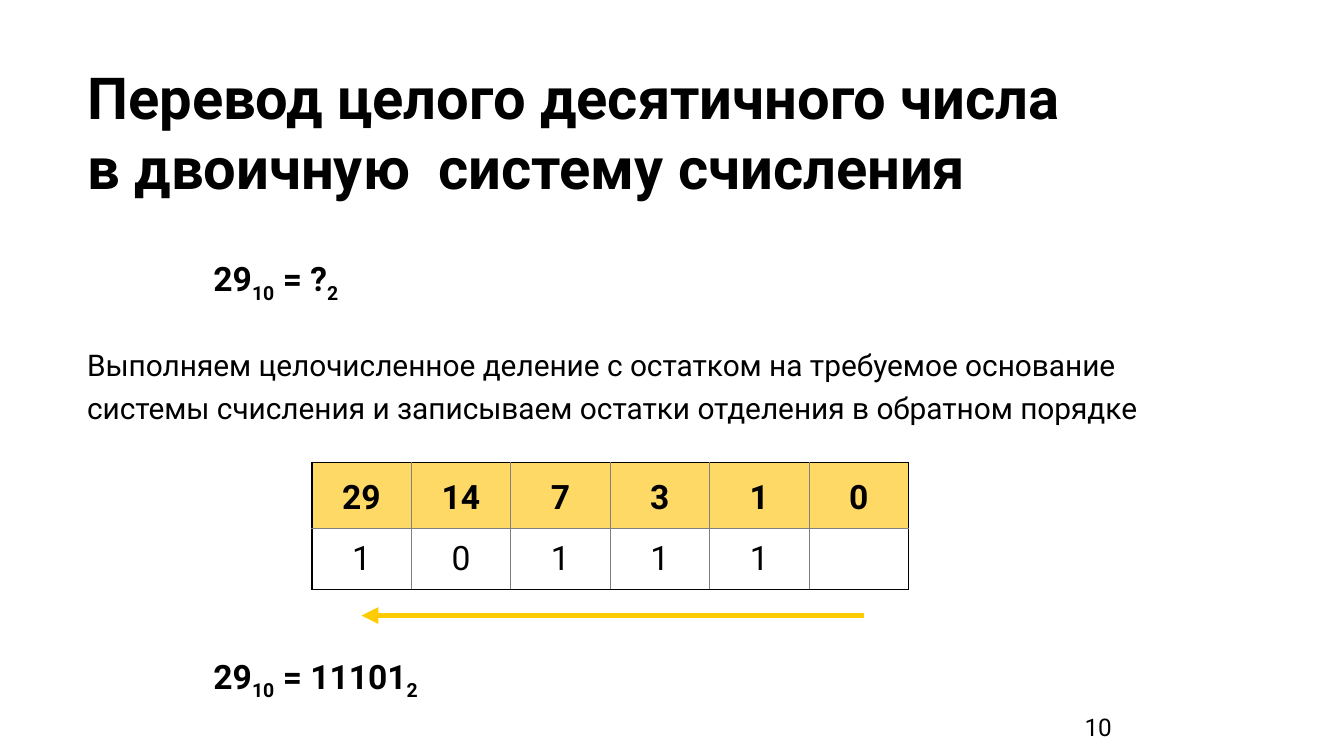
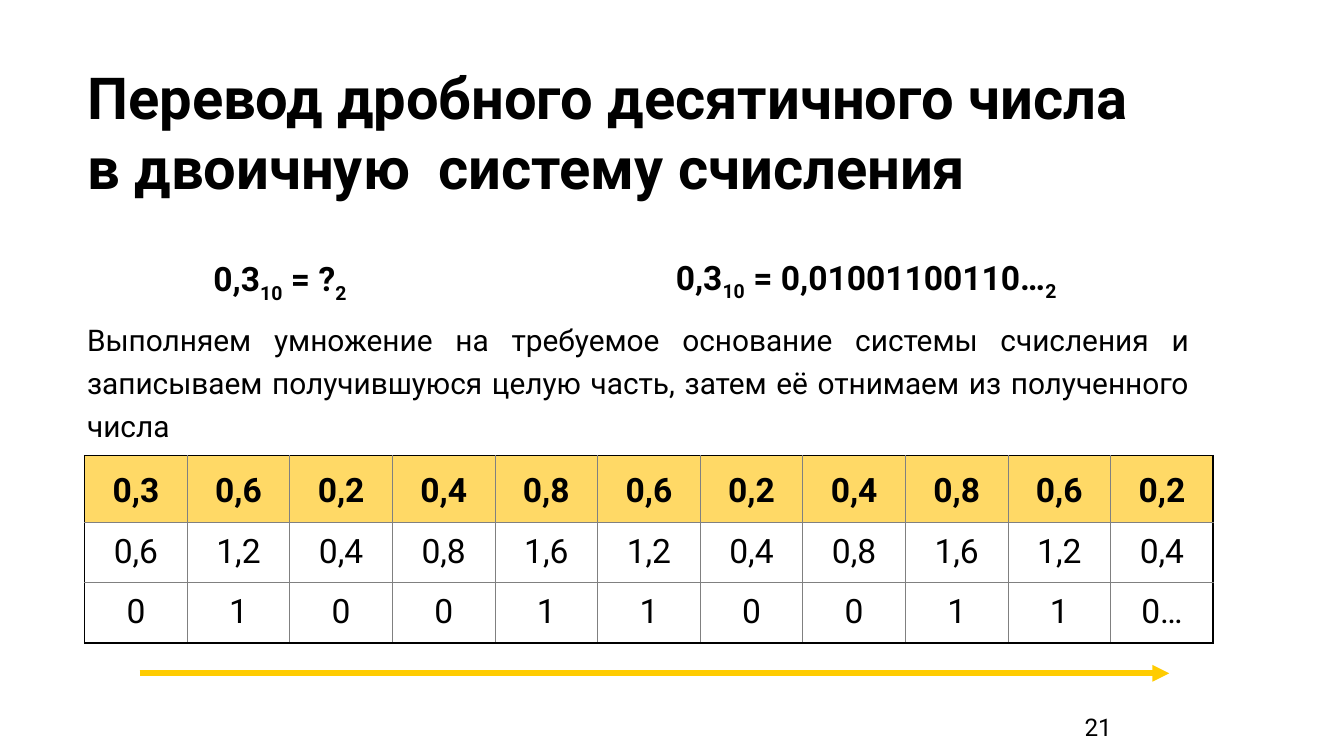
from lxml import etree
from pptx import Presentation
from pptx.dml.color import RGBColor
from pptx.enum import shapes, text
from pptx.oxml.ns import qn
from pptx.util import Inches, Pt

FONT = "Roboto"
BLACK, WHITE, GRAY = "000000", "FFFFFF", "808080"
HEADER, ARROW = "FFD966", "FFCC01"
LEFT, CENTER, RIGHT, JUSTIFY = (text.PP_ALIGN.LEFT, text.PP_ALIGN.CENTER,
                                text.PP_ALIGN.RIGHT, text.PP_ALIGN.JUSTIFY)
HEADER_H, ROW_H = 0.49, 0.45
CELL_INSET = Pt(5.4)
TITLE_BOX = (0.55, 0.36, 9.32, 1.2)
NUMBER_BOX = (7.37, 5.25, 1, 0.35)

# In a formula every second part is a subscript.
SLIDES = [
    dict(
        number="10",
        title="Перевод целого десятичного числа \vв двоичную  систему счисления",
        formulas=[((1.49, 1.82, 5, 0.43), ("29", "10", " = ?", "2")),
                  ((1.49, 4.78, 5, 0.43), ("29", "10", " = 11101", "2"))],
        rule="Выполняем целочисленное деление с остатком на требуемое основание "
             "системы счисления и записываем остатки отделения в обратном порядке",
        rule_box=(0.55, 2.43, 8.4, 0.83), rule_align=LEFT,
        table_box=(2.32, 3.44, 4.44),
        rows=[("29", "14", "7", "3", "1", "0"),
              ("1", "0", "1", "1", "1", "")],
        arrow=(6.43, 2.69, 4.58),
    ),
    dict(
        number="21",
        title="Перевод дробного десятичного числа \vв двоичную  систему счисления",
        formulas=[((1.49, 1.82, 5, 0.43), ("0,3", "10", " = ?", "2")),
                  ((4.93, 1.81, 4.1, 0.43), ("0,3", "10", " = 0,01001100110…", "2"))],
        rule="Выполняем умножение на требуемое основание системы счисления и "
             "записываем получившуюся целую часть, затем её отнимаем из "
             "полученного числа",
        rule_box=(0.55, 2.24, 8.4, 1.07), rule_align=JUSTIFY,
        table_box=(0.63, 3.39, 8.4),
        rows=[("0,3", "0,6", "0,2", "0,4", "0,8", "0,6", "0,2", "0,4", "0,8", "0,6", "0,2"),
              ("0,6", "1,2", "0,4", "0,8", "1,6", "1,2", "0,4", "0,8", "1,6", "1,2", "0,4"),
              ("0", "1", "0", "0", "1", "1", "0", "0", "1", "1", "0…")],
        arrow=(1.04, 8.7, 5.01),
    ),
]


def rgb(color):
    return RGBColor.from_string(color)


def write(tf, parts, size=18, bold=False, align=LEFT, spacing=1.0):
    """Fill the first paragraph; every second part becomes a subscript."""
    p = tf.paragraphs[0]
    p.alignment, p.line_spacing = align, spacing
    p.space_before = Pt(0)
    for i, part in enumerate(parts):
        for j, line in enumerate(part.split("\v")):
            if j:
                p.add_line_break()
            r = p.add_run()
            r.text = line
            r.font.name, r.font.size, r.font.bold = FONT, Pt(size), bold
            r.font.color.rgb = rgb(BLACK)
            if i % 2:
                r.font._element.set("baseline", "-25000")


def set_insets(obj, side, top):
    obj.margin_left = obj.margin_right = side
    obj.margin_top = obj.margin_bottom = top


def add_text(s, box, parts, inset=0.05, **fmt):
    tf = s.shapes.add_textbox(*map(Inches, box)).text_frame
    tf.word_wrap = True
    set_insets(tf, Inches(0.1), Inches(inset))
    write(tf, parts, **fmt)


def add_title(s, title):
    sp = s.shapes.title
    sp.left, sp.top, sp.width, sp.height = map(Inches, TITLE_BOX)
    tf = sp.text_frame
    tf.auto_size = text.MSO_AUTO_SIZE.NONE
    tf.vertical_anchor = text.MSO_ANCHOR.TOP
    set_insets(tf, Inches(0.1), Inches(0.1))
    write(tf, [title], size=31, bold=True)


def set_border(cell, side, outer):
    ln = etree.SubElement(cell._tc.get_or_add_tcPr(), qn(f"a:ln{side}"),
                          w=str(Pt(1 if outer else 0.5)))
    fill = etree.SubElement(ln, qn("a:solidFill"))
    etree.SubElement(fill, qn("a:srgbClr"), val=BLACK if outer else GRAY)


def add_table(s, box, rows):
    left, top, width = box
    last_row, last_col = len(rows) - 1, len(rows[0]) - 1
    height = HEADER_H + ROW_H * last_row
    table = s.shapes.add_table(len(rows), len(rows[0]),
                               *map(Inches, (left, top, width, height))).table
    table.first_row = table.horz_banding = False
    for col in table.columns:
        col.width = Inches(width / len(rows[0]))
    for i, row in enumerate(rows):
        is_header = i == 0
        table.rows[i].height = Inches(HEADER_H if is_header else ROW_H)
        for j, value in enumerate(row):
            cell = table.cell(i, j)
            set_insets(cell, CELL_INSET, CELL_INSET)
            for side, outer in (("L", j == 0), ("R", j == last_col),
                                ("T", i == 0), ("B", i == last_row)):
                set_border(cell, side, outer)
            cell.fill.solid()
            cell.fill.fore_color.rgb = rgb(HEADER if is_header else WHITE)
            write(cell.text_frame, [value], bold=is_header, align=CENTER,
                  spacing=1.15 if is_header else 1.0)


def add_arrow(s, start, end, y):
    c = s.shapes.add_connector(shapes.MSO_CONNECTOR.STRAIGHT,
                               *map(Inches, (start, y, end, y)))
    c.line.color.rgb = rgb(ARROW)
    c.line.width = Pt(3)
    etree.SubElement(c.line._get_or_add_ln(), qn("a:tailEnd"), type="triangle")
    etree.SubElement(c._element.spPr, qn("a:effectLst"))


def build_slide(prs, data):
    s = prs.slides.add_slide(prs.slide_layouts[5])
    add_title(s, data["title"])
    add_text(s, NUMBER_BOX, [data["number"]], size=13, align=RIGHT)
    add_table(s, data["table_box"], data["rows"])
    for box, parts in data["formulas"]:
        add_text(s, box, parts, bold=True, spacing=1.15)
    add_text(s, data["rule_box"], [data["rule"]], inset=0.1, size=16,
             align=data["rule_align"], spacing=1.2)
    add_arrow(s, *data["arrow"])


def main():
    prs = Presentation()
    prs.slide_width = Inches(10)
    prs.slide_height = prs.slide_width * 9 // 16
    for data in SLIDES:
        build_slide(prs, data)
    prs.save("out.pptx")


if __name__ == "__main__":
    main()
